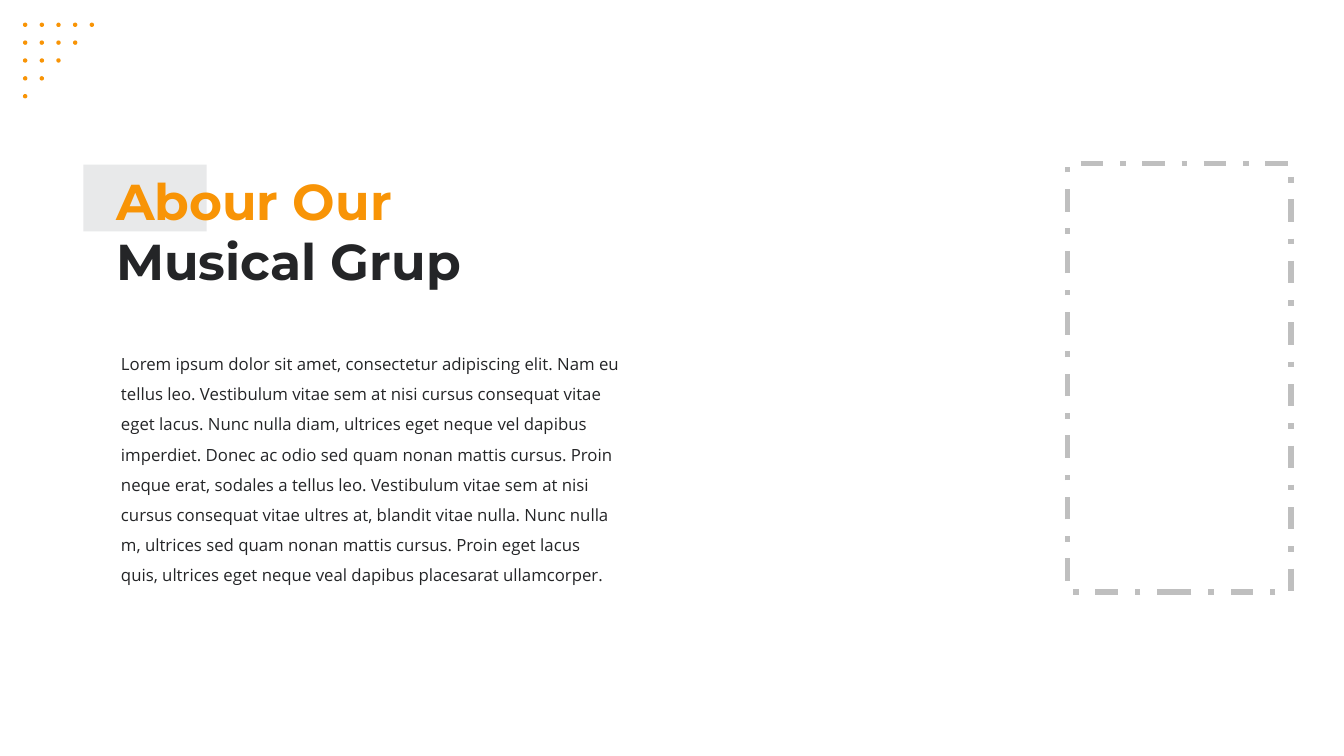
from pptx import Presentation
from pptx.dml.color import RGBColor
from pptx.enum.dml import MSO_LINE
from pptx.enum.shapes import MSO_SHAPE as Preset
from pptx.enum.text import MSO_ANCHOR as Anchor, MSO_AUTO_SIZE as AutoSize, PP_ALIGN as Align
from pptx.util import Cm, Pt

COLORS = {"accent": "F89406", "ink": "242527", "block": "E8E9EA", "frame": "BFBFBF"}

BODY = (
    "Lorem ipsum dolor sit amet, consectetur adipiscing elit. Nam eu tellus leo. "
    "Vestibulum vitae sem at nisi cursus consequat vitae eget lacus. Nunc nulla diam, "
    "ultrices eget neque vel dapibus imperdiet. Donec ac odio sed quam nonan mattis "
    "cursus. Proin neque erat, sodales a tellus leo. Vestibulum vitae sem at nisi cursus "
    "consequat vitae ultres at, blandit vitae nulla. Nunc nulla m, ultrices sed quam "
    "nonan mattis cursus. Proin eget lacus quis, ultrices eget neque veal dapibus "
    "placesarat ullamcorper."
)


def color(name):
    return RGBColor.from_string(COLORS[name])


class SlideBuilder:
    heading_font = "Montserrat"
    body_font = "Open Sans"

    def __init__(self, slide):
        self.slide = slide

    def shape(self, preset, box, fill=None, line=None, parent=None):
        """Add a flat shape; box is left, top, width, height in cm."""
        shape = (parent or self.slide).shapes.add_shape(preset, *map(Cm, box))
        shape.shadow.inherit = False
        if fill:
            shape.fill.solid()
            shape.fill.fore_color.rgb = color(fill)
        else:
            shape.fill.background()
        if line:
            shape.line.color.rgb = color(line)
            shape.line.width = Pt(4)
            shape.line.dash_style = MSO_LINE.DASH_DOT
        else:
            shape.line.fill.background()

    def set_text(self, frame, lines, font, size, bold=False, spacing=1.0):
        """Fill a text frame with (text, colour name) paragraphs."""
        frame.word_wrap = True
        frame.auto_size = AutoSize.SHAPE_TO_FIT_TEXT
        frame.vertical_anchor = Anchor.TOP
        frame.text = "\n".join(text for text, _ in lines)
        for paragraph, (_, tint) in zip(frame.paragraphs, lines):
            paragraph.alignment = Align.LEFT
            paragraph.line_spacing = spacing
            paragraph.font.name = font
            paragraph.font.size = Pt(size)
            paragraph.font.bold = bold
            paragraph.font.color.rgb = color(tint)

    def title(self, box, lines):
        """Format the title placeholder and bring it to the front."""
        title = self.slide.shapes.title
        title.left, title.top, title.width, title.height = map(Cm, box)
        self.set_text(title.text_frame, lines, self.heading_font, 36, bold=True)
        title.element.getparent().append(title.element)

    def body(self, box, text):
        body = self.slide.shapes.add_textbox(*map(Cm, box))
        self.set_text(body.text_frame, [(text, "ink")], self.body_font, 12, spacing=1.5)

    def dot_triangle(self, left, top, count):
        """Group rows of dots, each row one dot shorter than the row above."""
        group = self.slide.shapes.add_group_shape()
        for row in range(count):
            for column in range(count - row):
                box = (left + 0.42 * column, top + 0.45 * row, 0.11, 0.11)
                self.shape(Preset.OVAL, box, fill="accent", parent=group)


def main():
    deck = Presentation()
    deck.slide_width, deck.slide_height = Cm(33.87), Cm(19.05)
    builder = SlideBuilder(deck.slides.add_slide(deck.slide_layouts[5]))

    builder.shape(Preset.RECTANGLE, (26.9, 4.12, 5.64, 10.8), line="frame")
    builder.body((2.8, 8.53, 13.08, 6.4), BODY)
    builder.shape(Preset.RECTANGLE, (2.1, 4.15, 3.11, 1.68), fill="block")
    builder.title((2.67, 4.15, 10.87, 3.33),
                  [("Abour Our", "accent"), ("Musical Grup", "ink")])
    builder.dot_triangle(0.58, 0.57, count=5)

    deck.save("out.pptx")


if __name__ == "__main__":
    main()
